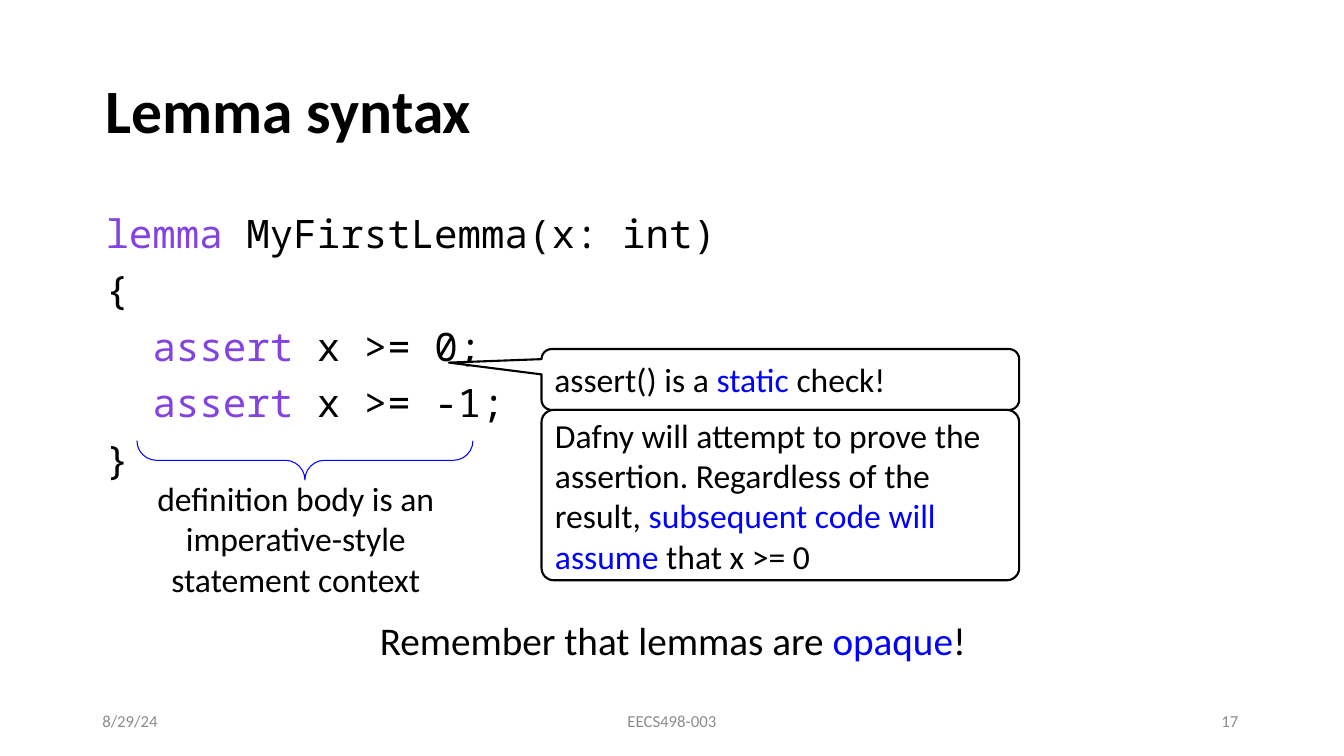
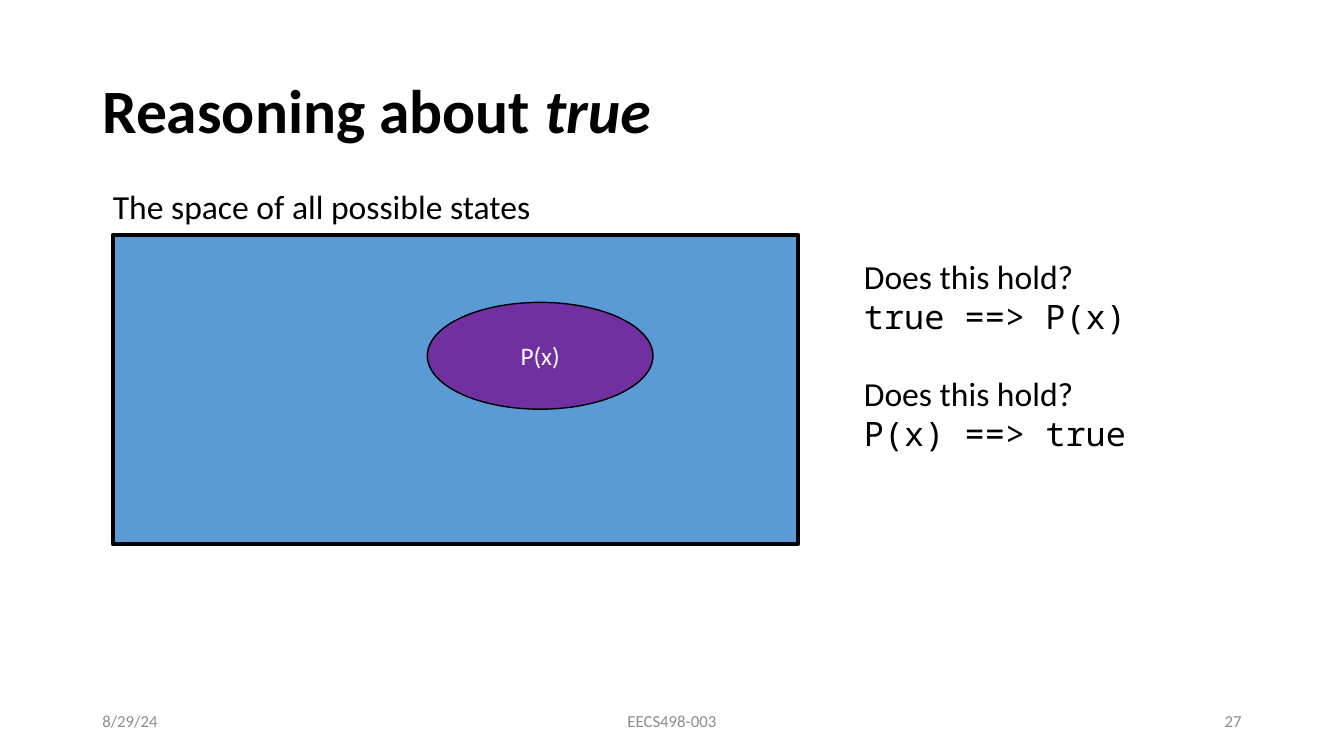
from lxml import etree
from pptx import Presentation, util as u
from pptx.dml.color import RGBColor
from pptx.enum import shapes, text
from pptx.oxml.ns import qn

Pt = u.Pt
SHAPE, ALIGN, ANCHOR = shapes.MSO_SHAPE, text.PP_ALIGN, text.MSO_ANCHOR
BLACK, WHITE, GREY, BLUE = "000000", "FFFFFF", "8C8C8C", "0000FF"
KEYWORD, STATES, PREDICATE = "8343E2", "5B9BD5", "7030A0"
SANS, MONO = "Calibri", "Noto Sans Mono"
WIDE_INSET = 9.4

# Run styles
TITLE = dict(name=SANS, size=Pt(44), bold=True, color=BLACK)
FOOTER = dict(name=SANS, size=Pt(12), color=GREY)
CODE = dict(name=MONO, size=Pt(28), color=BLACK)
NOTE = dict(name=SANS, size=Pt(24), color=BLACK)
REMINDER = NOTE | dict(size=Pt(28))
LABEL = dict(name=SANS, size=Pt(18), color=WHITE)
HIGHLIGHT, CODE_WORD = dict(color=BLUE), dict(color=KEYWORD)

# A paragraph is a list of runs; a run is a string or a (string, style change) pair.
LEMMA_CODE = [
    [("lemma ", CODE_WORD), "MyFirstLemma(x: int)"],
    ["{"],
    ["  ", ("assert ", CODE_WORD), "x >= 0;"],
    ["  ", ("assert", CODE_WORD), " x >= -1;"],
    ["}"],
]
STATIC_CHECK = [["assert() is a ", ("static ", HIGHLIGHT), "check!"]]
ASSUMPTION = [["Dafny will attempt to prove the assertion. Regardless of the result, ",
               ("subsequent code will assume ", HIGHLIGHT), "that x >= 0"]]
BODY_NOTE = [["definition body is an imperative-style statement context"]]
OPAQUE = [["Remember that lemmas are ", ("opaque", HIGHLIGHT), "!"]]
STATE_SPACE = [["The space of all possible states"]]
QUESTION = "Does this hold?"
IMPLICATIONS = ["true ==> P(x)", "P(x) ==> true"]

# Shared frames: left, top, width, height
TITLE_BOX = (66, 29, 828, 104)
FOOTER_TOP, FOOTER_HEIGHT = 500.5, 29


def color(value):
    return RGBColor.from_string(value)


def write(shape, paragraphs, style, align=ALIGN.LEFT, inset=None, line=None, before=0, **frame_format):
    frame = shape.text_frame
    frame_format = dict(word_wrap=True, vertical_anchor=ANCHOR.TOP) | frame_format
    if inset:
        frame_format |= {f"margin_{side}": Pt(inset) for side in ("left", "top", "right", "bottom")}
    for key, value in frame_format.items():
        setattr(frame, key, value)
    for index, runs in enumerate(paragraphs):
        paragraph = frame.add_paragraph() if index else frame.paragraphs[0]
        paragraph.alignment = align
        if line:
            paragraph.line_spacing = line
        if index and before:
            paragraph.space_before = Pt(before)
        for item in runs:
            words, change = (item, {}) if isinstance(item, str) else item
            run = paragraph.add_run()
            run.text = words
            for key, value in (style | change).items():
                if key == "color":
                    run.font.color.rgb = color(value)
                else:
                    setattr(run.font, key, value)


def add_text(slide, box, paragraphs, style, **options):
    write(slide.shapes.add_textbox(*map(Pt, box)), paragraphs, style, **options)


def add_shape(slide, kind, box, fill, line, width, adjustments=()):
    shape = slide.shapes.add_shape(kind, *map(Pt, box))
    shape.shadow.inherit = False
    if fill:
        shape.fill.solid()
        shape.fill.fore_color.rgb = color(fill)
    else:
        shape.fill.background()
    shape.line.color.rgb = color(line)
    shape.line.width = Pt(width)
    for index, value in enumerate(adjustments):
        shape.adjustments[index] = value
    return shape


def set_opacity(shape, percent):
    fill = shape.fill._xPr.find(qn("a:solidFill"))
    etree.SubElement(fill[0], qn("a:alpha"), val=str(percent * 1000))


def add_page(presentation, title, number, inset=None):
    """Add a slide with its title and the date, course and number footer."""
    slide = presentation.slides.add_slide(presentation.slide_layouts[6])
    add_text(slide, TITLE_BOX, [title], TITLE, inset=inset, line=0.9, vertical_anchor=ANCHOR.MIDDLE)
    footers = [
        (66, 216, "8/29/24", ALIGN.LEFT, None),
        (318, 324, "EECS498-003", ALIGN.CENTER, None),
        (678, 216, str(number), ALIGN.RIGHT, inset),
    ]
    for left, width, words, align, margin in footers:
        add_text(slide, (left, FOOTER_TOP, width, FOOTER_HEIGHT), [[words]], FOOTER,
                 align=align, inset=margin, vertical_anchor=ANCHOR.MIDDLE)
    return slide


def build_lemma_slide(presentation):
    slide = add_page(presentation, ["Lemma syntax"], 17, WIDE_INSET)
    add_text(slide, (66, 144, 828, 343), LEMMA_CODE, CODE, inset=WIDE_INSET, line=0.9, before=10)

    left, top, width, callout_height = 386.8, 249.3, 341.2, 43.5
    callout = add_shape(slide, SHAPE.ROUNDED_RECTANGULAR_CALLOUT, (left, top, width, callout_height),
                        WHITE, BLACK, 1.5, (-0.694, -0.277, 0.167))
    set_opacity(callout, 91)
    detail = add_shape(slide, SHAPE.ROUNDED_RECTANGLE, (left, top + callout_height, width, 121.7),
                       WHITE, BLACK, 1.5, (0.072,))
    for shape, paragraphs in ((callout, STATIC_CHECK), (detail, ASSUMPTION)):
        write(shape, paragraphs, NOTE, vertical_anchor=ANCHOR.MIDDLE)

    brace = add_shape(slide, SHAPE.LEFT_BRACE, (203.8, 208.8, 28, 240), None, BLUE, 0.75, (0.5, 0.5))
    brace.rotation = 270
    add_text(slide, (77, 332, 268.6, 105), BODY_NOTE, NOTE, align=ALIGN.CENTER, inset=WIDE_INSET)
    add_text(slide, (264.2, 437, 437.8, 41), OPAQUE, REMINDER, word_wrap=False,
             auto_size=text.MSO_AUTO_SIZE.SHAPE_TO_FIT_TEXT)


def build_true_slide(presentation):
    slide = add_page(presentation, ["Reasoning about ", ("true", dict(italic=True))], 27)
    add_shape(slide, SHAPE.RECTANGLE, (80.6, 167.8, 489.6, 221), STATES, BLACK, 2.75)
    add_text(slide, (73.5, 129, 315.4, 36), STATE_SPACE, NOTE, word_wrap=False,
             auto_size=text.MSO_AUTO_SIZE.SHAPE_TO_FIT_TEXT)
    predicate = add_shape(slide, SHAPE.OVAL, (305.2, 216, 161.2, 76.3), PREDICATE, BLACK, 1)
    write(predicate, [["P(x)"]], LABEL, align=ALIGN.CENTER, vertical_anchor=ANCHOR.MIDDLE)
    for index, implication in enumerate(IMPLICATIONS):
        add_text(slide, (610, 179.3 + index * 83.5, 298, 65.5),
                 [[QUESTION], [(implication, dict(name=MONO))]], NOTE,
                 auto_size=text.MSO_AUTO_SIZE.SHAPE_TO_FIT_TEXT)


def main():
    presentation = Presentation()
    presentation.slide_width, presentation.slide_height = Pt(960), Pt(540)
    build_lemma_slide(presentation)
    build_true_slide(presentation)
    presentation.save("out.pptx")


if __name__ == "__main__":
    main()
